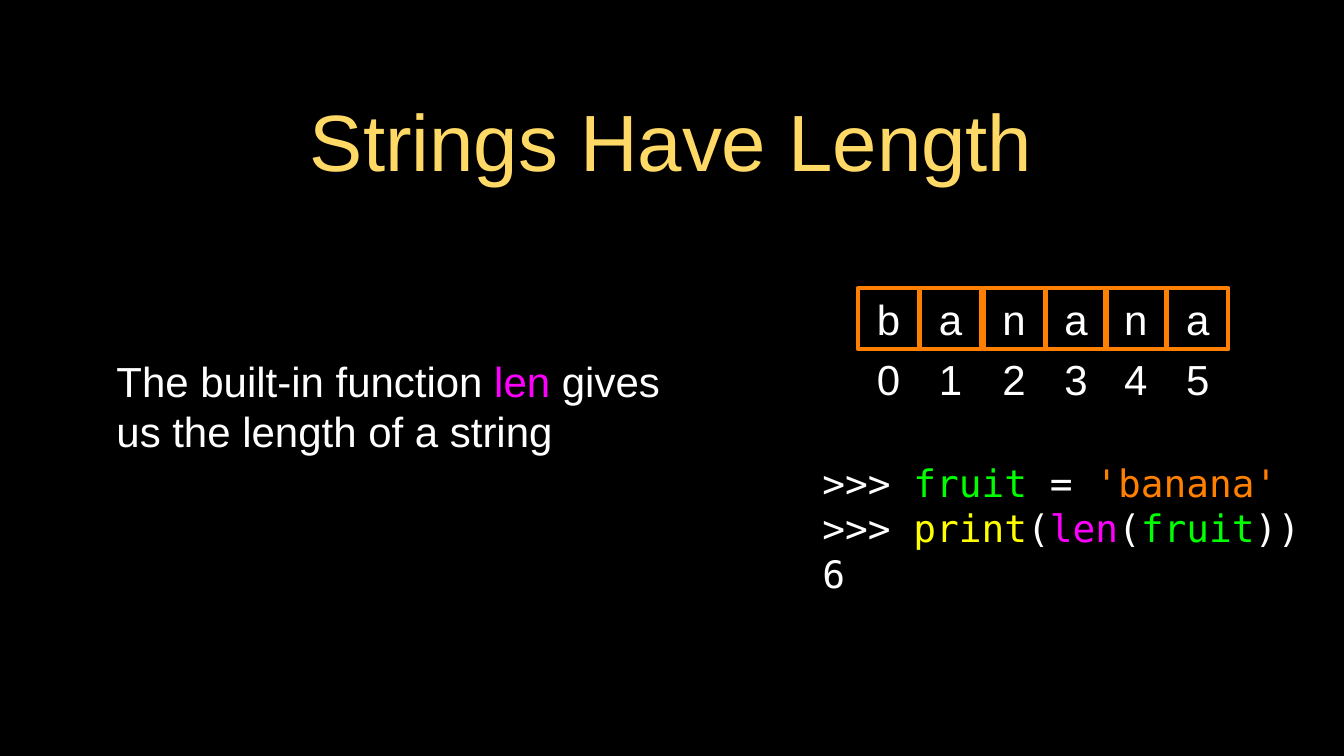
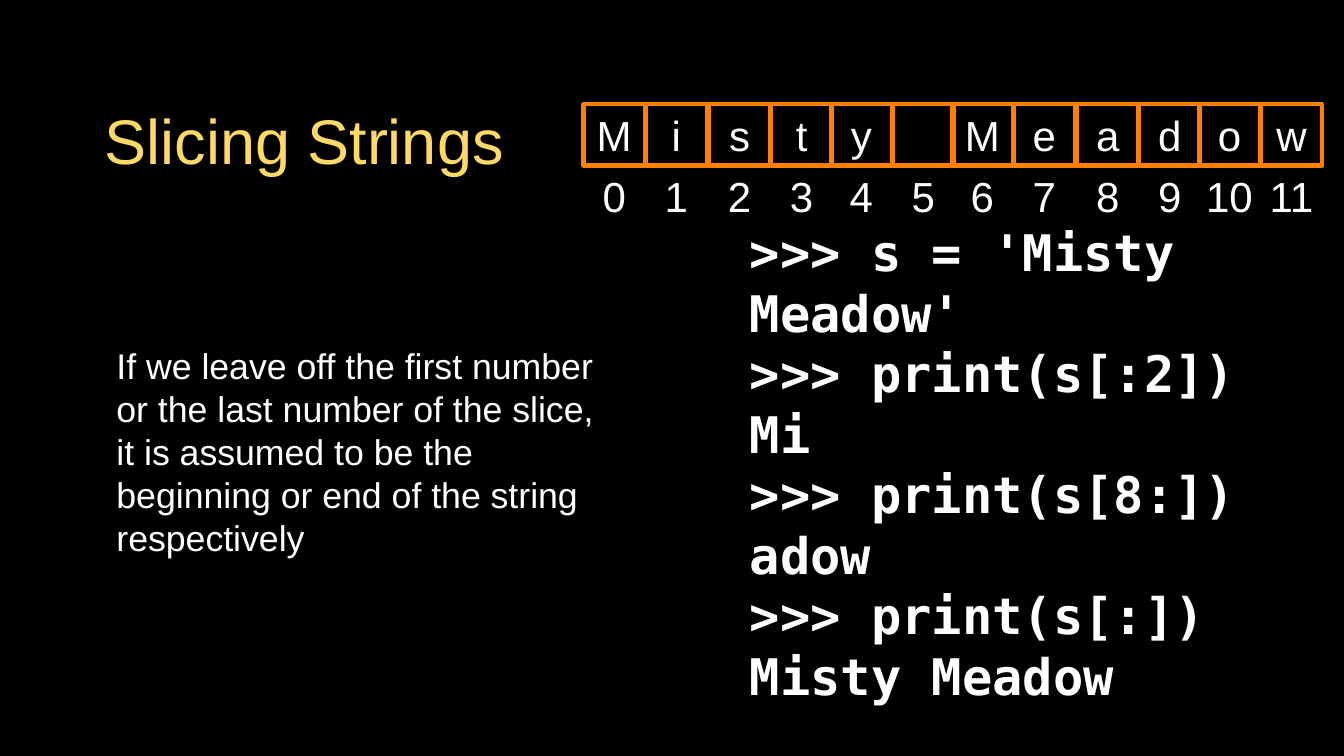
from dataclasses import dataclass

from lxml import etree
from pptx import Presentation
from pptx.dml.color import RGBColor
from pptx.enum.shapes import MSO_SHAPE
from pptx.enum.text import MSO_ANCHOR, MSO_AUTO_SIZE, PP_ALIGN
from pptx.oxml.ns import qn
from pptx.util import Inches, Pt

RECTANGLE = MSO_SHAPE.RECTANGLE
MIDDLE = MSO_ANCHOR.MIDDLE
NO_AUTOFIT = MSO_AUTO_SIZE.NONE
LEFT, CENTER = PP_ALIGN.LEFT, PP_ALIGN.CENTER


@dataclass(frozen=True)
class Theme:
    background: str = "000000"
    title: str = "FFD966"
    text: str = "FFFFFF"
    function: str = "FF00FF"
    variable: str = "00FF00"
    command: str = "FFFF00"
    accent: str = "FF7F00"
    sans: str = "Arial"
    mono: str = "DejaVu Sans Mono"
    title_size: int = 76
    short_title_size: int = 60
    body_size: int = 40
    long_body_size: int = 34
    cell_size: int = 40
    code_size: int = 36
    large_code_size: int = 48
    border: int = 4


THEME = Theme()
CELL = 0.81
INDEX_DROP = 0.8
CELL_OFFSETS = (0, 0.82, 1.66, 2.48, 3.27, 4.09)
GROUP_PITCH = 4.87


def color(value):
    return RGBColor.from_string(value)


def place(shape, left, top, width, height):
    shape.left, shape.top = Inches(left), Inches(top)
    shape.width, shape.height = Inches(width), Inches(height)


def write(shape, lines, size, font=THEME.sans, align=LEFT, inset=0.0,
          bold=False):
    frame = shape.text_frame
    frame.word_wrap = True
    frame.auto_size = NO_AUTOFIT
    frame.vertical_anchor = MIDDLE
    frame.margin_left = frame.margin_right = Inches(inset)
    frame.margin_top = frame.margin_bottom = Inches(inset)
    for number, line in enumerate(lines):
        paragraph = frame.add_paragraph() if number else frame.paragraphs[0]
        paragraph.alignment = align
        paragraph.space_before = Pt(0)
        for words, shade in line:
            run = paragraph.add_run()
            run.text = words
            run.font.name = font
            run.font.size = Pt(size)
            run.font.bold = bold
            run.font.color.rgb = color(shade)


def add_title(slide, title, width, size):
    heading = slide.shapes.title
    place(heading, 1.26, 0.91, width, 1.87)
    write(heading, [[(title, THEME.title)]], size, align=CENTER, inset=0.04)


def add_body(slide, segments, width, height, size):
    body = slide.placeholders[1]
    place(body, 1.26, 2.85, width, height)
    write(body, [segments], size, inset=0.04)
    properties = body.text_frame.paragraphs[0]._p.get_or_add_pPr()
    properties.set("marL", str(Inches(0.24)))
    properties.set("indent", "0")
    etree.SubElement(properties, qn("a:buNone"))


def add_code(slide, lines, box, size, bold=False):
    code = slide.shapes.add_textbox(*map(Inches, box))
    write(code, lines, size, THEME.mono, bold=bold)


def add_indexed_string(slide, word, left, top):
    for index, letter in enumerate(word):
        group, position = divmod(index, len(CELL_OFFSETS))
        x = left + group * GROUP_PITCH + CELL_OFFSETS[position]
        index_label = slide.shapes.add_textbox(
            Inches(x), Inches(top + INDEX_DROP), Inches(CELL), Inches(CELL))
        write(index_label, [[(str(index), THEME.text)]], THEME.cell_size,
              align=CENTER)
        cell = slide.shapes.add_shape(
            RECTANGLE, Inches(x), Inches(top), Inches(CELL), Inches(CELL))
        cell.shadow.inherit = False
        cell.fill.background()
        cell.line.color.rgb = color(THEME.accent)
        cell.line.width = Pt(THEME.border)
        if letter.strip():
            write(cell, [[(letter, THEME.text)]], THEME.cell_size, align=CENTER)


def build_length_slide(slide):
    add_title(slide, "Strings Have Length", 15.24, THEME.title_size)
    add_body(slide, [("The built-in function ", THEME.text),
                     ("len ", THEME.function),
                     ("gives us the length of a string", THEME.text)],
             8.08, 5.04, THEME.body_size)
    prompt = (">>> ", THEME.text)
    fruit = ("fruit", THEME.variable)
    add_code(slide, [
        [prompt, fruit, (" = ", THEME.text), ("'banana'", THEME.accent)],
        [prompt, ("print", THEME.command), ("(", THEME.text),
         ("len", THEME.function), ("(", THEME.text), fruit, ("))", THEME.text)],
        [("6", THEME.text)],
    ], (10.88, 6.07, 6.9, 1.82), THEME.code_size)
    add_indexed_string(slide, "banana", 11.35, 3.81)


def build_slicing_slide(slide):
    phrase = "Misty Meadow"
    session = (f">>> s = '{phrase}'", ">>> print(s[:2])", phrase[:2],
               ">>> print(s[8:])", phrase[8:], ">>> print(s[:])", phrase)
    add_code(slide, [[(line, THEME.text)] for line in session],
             (9.92, 4.01, 7.51, 4.24), THEME.large_code_size, bold=True)
    add_title(slide, "Slicing Strings", 5.53, THEME.short_title_size)
    add_body(slide, [("If we leave off the first number or the last number of "
                      "the slice, it is assumed to be the beginning or end of "
                      "the string respectively", THEME.text)],
             6.74, 6.24, THEME.long_body_size)
    add_indexed_string(slide, phrase, 7.72, 1.38)


def main():
    deck = Presentation()
    deck.slide_width, deck.slide_height = Inches(17.78), Inches(10)
    backdrop = deck.slide_master.background.fill
    backdrop.solid()
    backdrop.fore_color.rgb = color(THEME.background)
    for build in (build_length_slide, build_slicing_slide):
        build(deck.slides.add_slide(deck.slide_layouts[1]))
    deck.save("out.pptx")


main()
